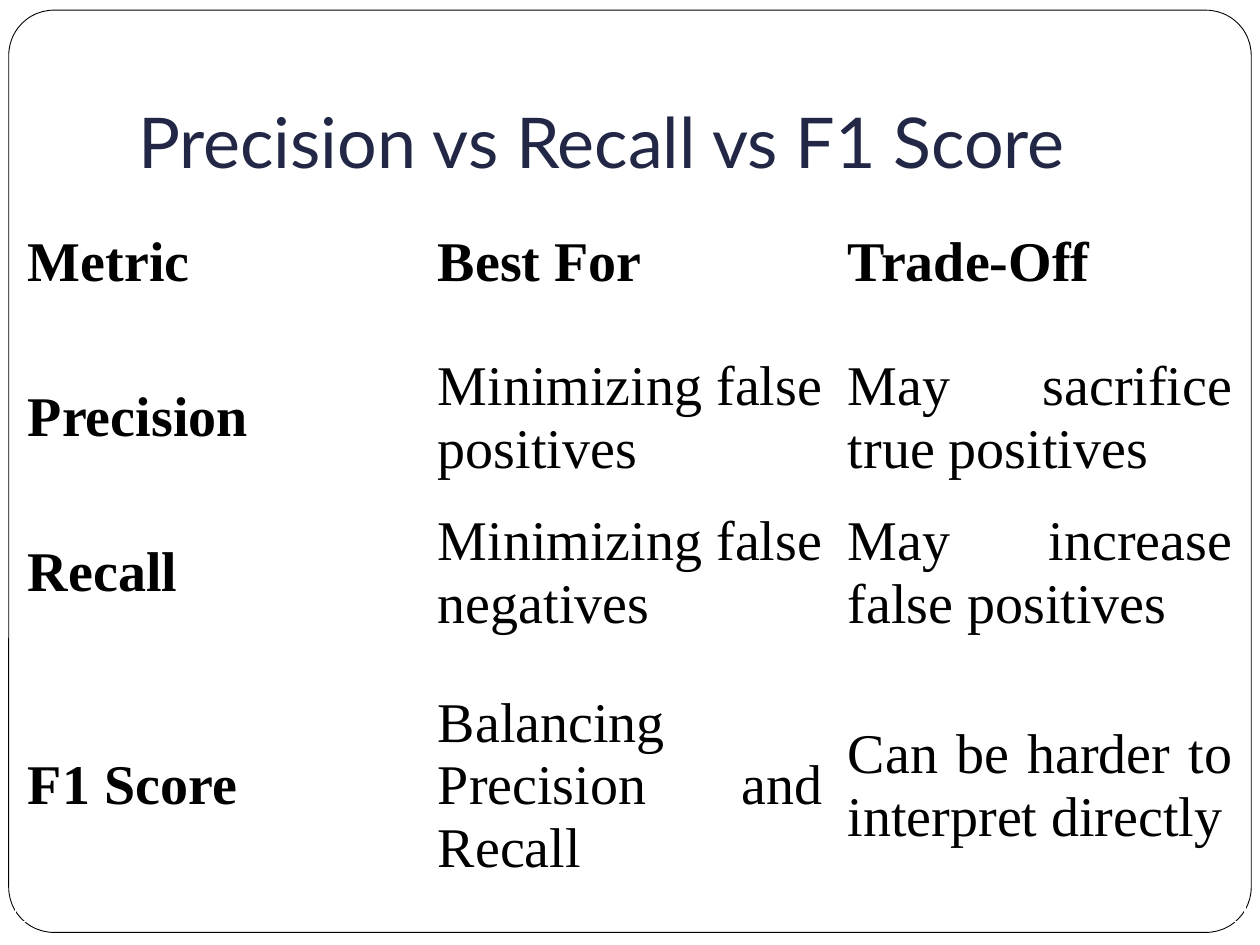
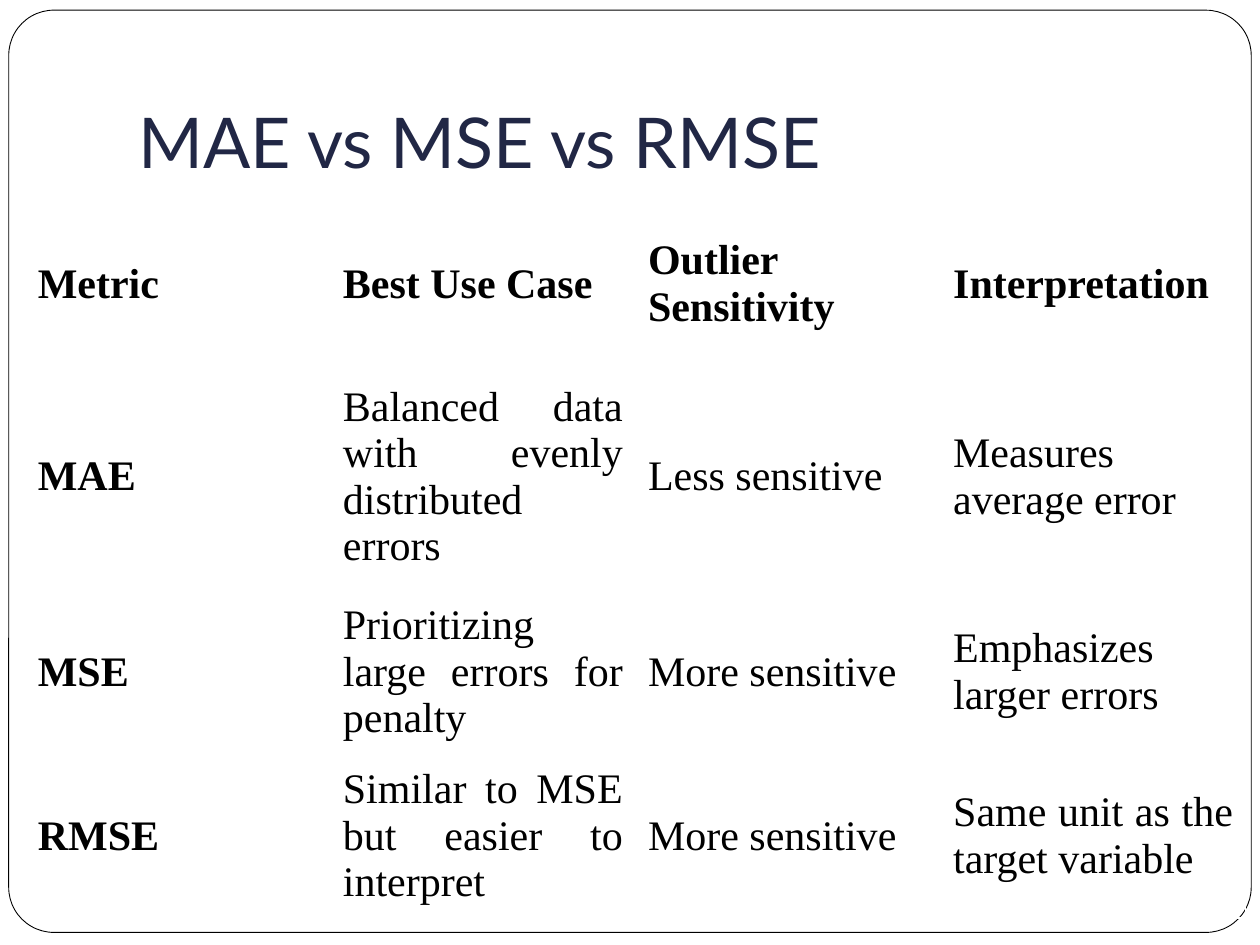
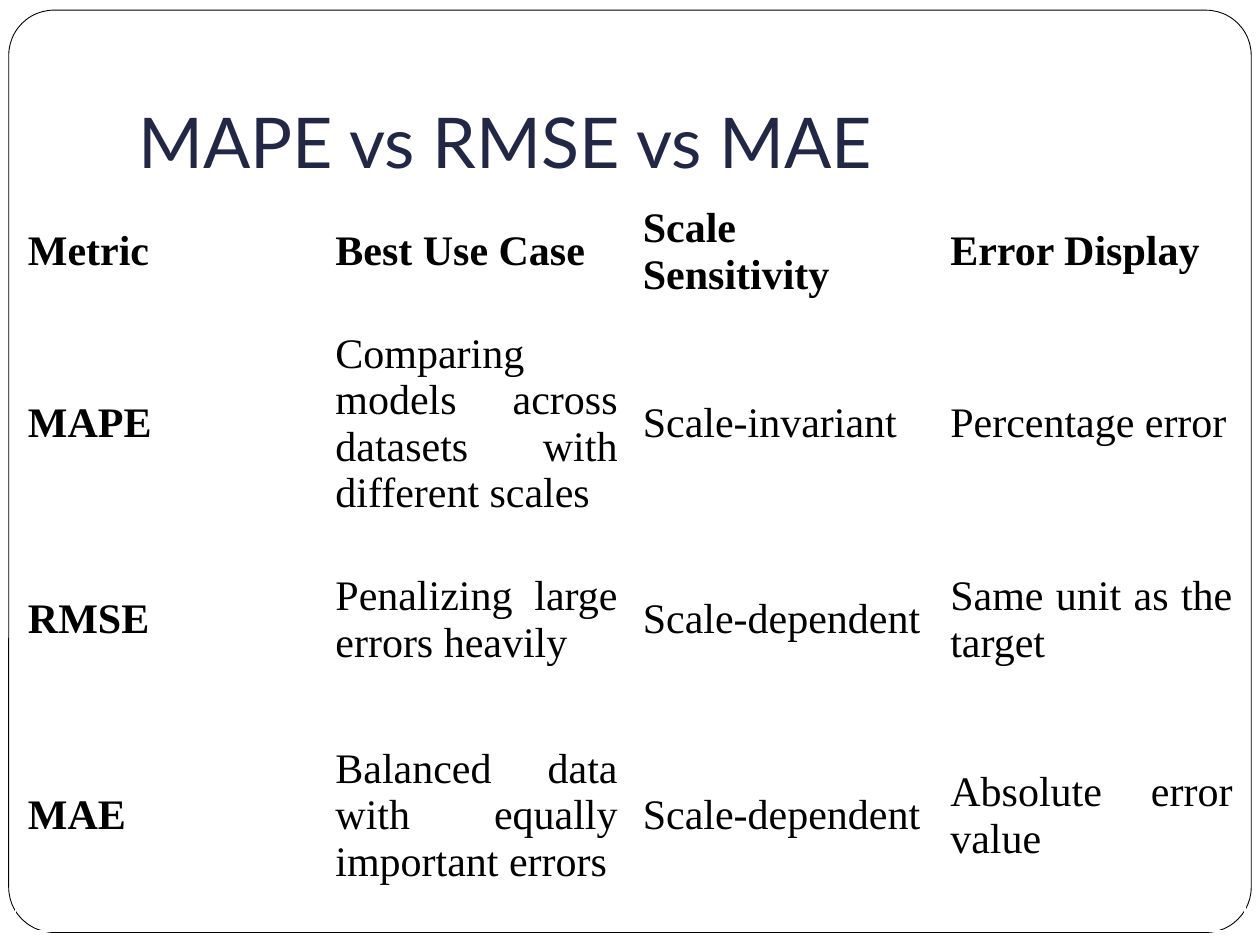
import pptx
import pptx.dml.color
import pptx.enum.shapes
import pptx.enum.text
import pptx.util

Pt = pptx.util.Pt

COLORS = {"paper": "FFFFFF", "ink": "000000", "title": "212745"}
FRAME_BOX = (5, 5.8, 710, 527)
TITLE_BOX = (72, 21.6, 612, 90)

COMPARISONS = [
    {
        "title": "Precision vs Recall vs F1 Score",
        "box": (8.8, 106, 702.8),
        "row_heights": (88.6, 88.6, 88.6, 154.8),
        "text_size": 32,
        "rows": [
            ("Metric", "Best For", "Trade-Off"),
            ("Precision", "Minimizing false positives", "May sacrifice true positives"),
            ("Recall", "Minimizing false negatives", "May increase false positives"),
            ("F1 Score", "Balancing Precision and Recall", "Can be harder to interpret directly"),
        ],
    },
    {
        "title": "MAE vs MSE vs RMSE",
        "box": (14.4, 116.8, 697.5),
        "row_heights": (90.8, 129.6, 90.8, 90.8),
        "text_size": 24,
        "rows": [
            ("Metric", "Best Use Case", "Outlier Sensitivity", "Interpretation"),
            ("MAE", "Balanced data with evenly distributed errors", "Less sensitive",
             "Measures average error"),
            ("MSE", "Prioritizing large errors for penalty", "More sensitive",
             "Emphasizes larger errors"),
            ("RMSE", "Similar to MSE but easier to interpret", "More sensitive",
             "Same unit as the target variable"),
        ],
    },
    {
        "title": "MAPE vs RMSE vs MAE",
        "box": (8.8, 111.4, 702.8),
        "row_heights": (52.6, 131.8, 92.2, 131.8),
        "text_size": 24,
        "rows": [
            ("Metric", "Best Use Case", "Scale Sensitivity", "Error Display"),
            ("MAPE", "Comparing models across datasets with different scales",
             "Scale-invariant", "Percentage error"),
            ("RMSE", "Penalizing large errors heavily", "Scale-dependent",
             "Same unit as the target"),
            ("MAE", "Balanced data with equally important errors", "Scale-dependent",
             "Absolute error value"),
        ],
    },
]


def color(name):
    """Return the named palette colour."""
    return pptx.dml.color.RGBColor.from_string(COLORS[name])


def style_text(paragraph, font_name, size, color_name, bold=False):
    """Format every run of a paragraph."""
    for run in paragraph.runs:
        run.font.name = font_name
        run.font.size = Pt(size)
        run.font.bold = bold
        run.font.color.rgb = color(color_name)


def add_frame(slide, box):
    """Draw the thin rounded border that surrounds a slide."""
    frame = slide.shapes.add_shape(
        pptx.enum.shapes.MSO_SHAPE.ROUNDED_RECTANGLE, *map(Pt, box))
    frame.adjustments[0] = 0.049
    frame.shadow.inherit = False
    frame.fill.solid()
    frame.fill.fore_color.rgb = color("paper")
    frame.line.color.rgb = color("ink")
    frame.line.width = Pt(0.5)


def add_title(slide, box, wording):
    """Write the slide title at the bottom of its box."""
    title = slide.shapes.add_textbox(*map(Pt, box)).text_frame
    title.word_wrap = True
    title.vertical_anchor = pptx.enum.text.MSO_ANCHOR.BOTTOM
    title.margin_bottom = Pt(7.2)
    title.text = wording
    style_text(title.paragraphs[0], "Lato", 40, "title")


def add_comparison(slide, box, rows, row_heights, text_size):
    """Fill a box with equal columns, bold in the first row and column."""
    left, top, width = box
    metrics = slide.shapes.add_table(
        len(rows), len(rows[0]), Pt(left), Pt(top), Pt(width), Pt(sum(row_heights))).table
    metrics.first_row = False
    metrics.horz_banding = False
    for column in metrics.columns:
        column.width = Pt(width / len(rows[0]))
    for row_index, (entries, height) in enumerate(zip(rows, row_heights)):
        metrics.rows[row_index].height = Pt(height)
        for column_index, entry in enumerate(entries):
            cell = metrics.cell(row_index, column_index)
            cell.fill.background()
            cell.vertical_anchor = pptx.enum.text.MSO_ANCHOR.MIDDLE
            cell.text_frame.text = entry
            paragraph = cell.text_frame.paragraphs[0]
            paragraph.alignment = pptx.enum.text.PP_ALIGN.JUSTIFY
            style_text(paragraph, "Times New Roman", text_size, "ink",
                       row_index == 0 or column_index == 0)


def add_comparison_slide(deck, comparison):
    """Add one framed slide with a title and a table of metrics."""
    slide = deck.slides.add_slide(deck.slide_layouts[6])
    add_frame(slide, FRAME_BOX)
    add_title(slide, TITLE_BOX, comparison["title"])
    add_comparison(slide, comparison["box"], comparison["rows"],
                   comparison["row_heights"], comparison["text_size"])


def main():
    """Build and save the deck."""
    deck = pptx.Presentation()
    deck.slide_width, deck.slide_height = Pt(720), Pt(540)
    for comparison in COMPARISONS:
        add_comparison_slide(deck, comparison)
    deck.save("out.pptx")


if __name__ == "__main__":
    main()
